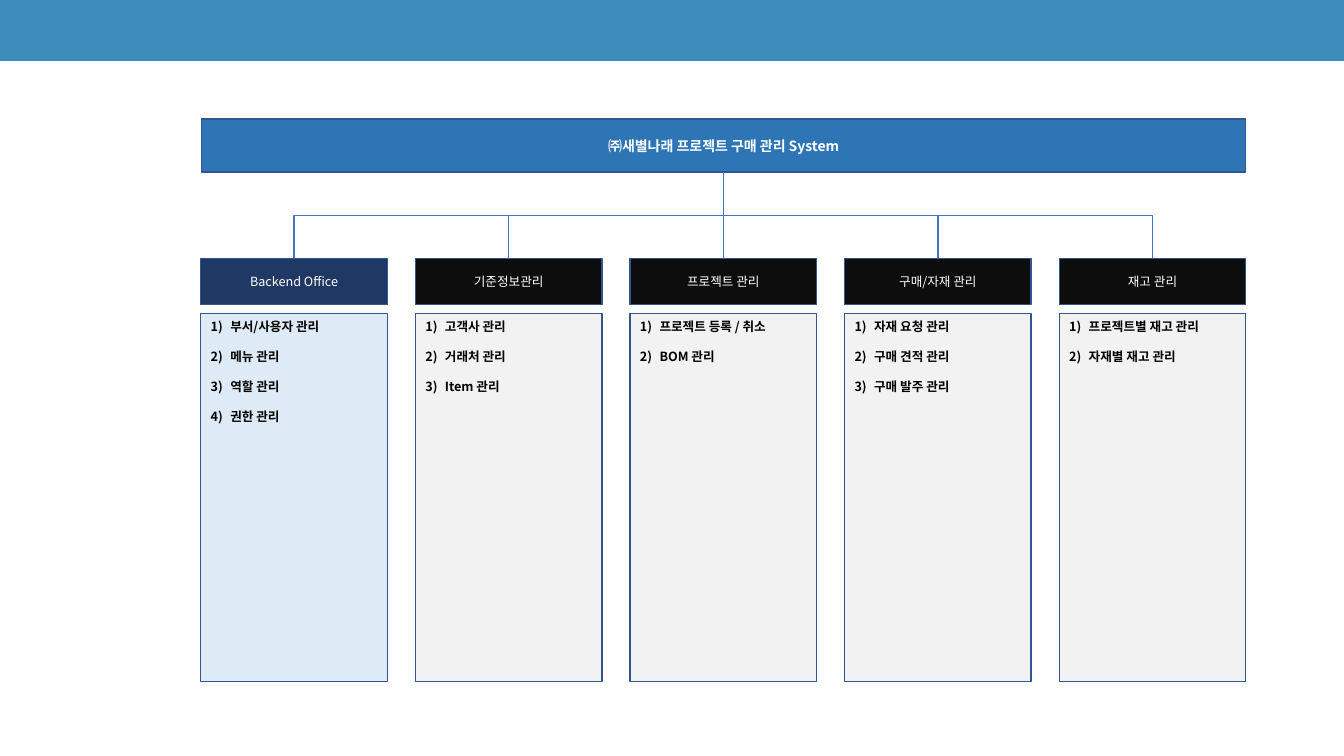
import pptx
import pptx.dml.color
import pptx.enum.shapes
import pptx.enum.text
import pptx.oxml
import pptx.oxml.ns
import pptx.util

Pt = pptx.util.Pt
RGB = pptx.dml.color.RGBColor
ALIGN = pptx.enum.text.PP_ALIGN
ANCHOR = pptx.enum.text.MSO_ANCHOR
RECT = pptx.enum.shapes.MSO_SHAPE.RECTANGLE
ELBOW = pptx.enum.shapes.MSO_CONNECTOR.ELBOW
qn = pptx.oxml.ns.qn

TEAL = RGB(0x3C, 0x8D, 0xBC)
BLUE = RGB(0x2E, 0x75, 0xB6)
NAVY = RGB(0x20, 0x38, 0x64)
PALE = RGB(0xDE, 0xEB, 0xF7)
INK = RGB(0x0D, 0x0D, 0x0D)
GREY = RGB(0xF2, 0xF2, 0xF2)
EDGE = RGB(0x32, 0x54, 0x91)
LINK = RGB(0x44, 0x72, 0xC4)
WHITE = RGB(0xFF, 0xFF, 0xFF)
BLACK = RGB(0, 0, 0)

WIDTH, HEIGHT = 960, 540
LEFT, PITCH, COL = 143.4, 153.3, 133.2
HEAD_TOP, HEAD_H = 184.5, 33
LIST_TOP, LIST_H = 224, 262.8
ROOT_TOP, ROOT_H = 85, 38
STEP = 10.8

TITLE = "㈜새별나래 프로젝트 구매 관리 System"
MENUS = [
    ("Backend Office", ["부서/사용자 관리", "메뉴 관리", "역할 관리", "권한 관리"]),
    ("기준정보관리", ["고객사 관리", "거래처 관리", "Item 관리"]),
    ("프로젝트 관리", ["프로젝트 등록 / 취소", "BOM 관리"]),
    ("구매/자재 관리", ["자재 요청 관리", "구매 견적 관리", "구매 발주 관리"]),
    ("재고 관리", ["프로젝트별 재고 관리", "자재별 재고 관리"]),
]


def add(parent, tag, **attrs):
    """Append an empty XML element with the given attributes."""
    node = pptx.oxml.parse_xml(f"<{tag} {pptx.oxml.ns.nsdecls('a')}/>")
    for key, value in attrs.items():
        node.set(key, value)
    parent.append(node)


class Chart:
    """The slide being drawn and its shared style."""

    face = "Noto Sans CJK KR"

    def __init__(self, slide):
        self.slide = slide

    def box(self, x, y, w, h, fill, edge=EDGE):
        shape = self.slide.shapes.add_shape(RECT, Pt(x), Pt(y), Pt(w), Pt(h))
        shape.shadow.inherit = False
        shape.fill.solid()
        shape.fill.fore_color.rgb = fill
        if edge is None:
            shape.line.fill.background()
        else:
            shape.line.color.rgb = edge
            shape.line.width = Pt(1)
        shape.text_frame.word_wrap = True
        return shape

    def style(self, para, size, color, bold):
        font = para.font
        font.name, font.size, font.bold = self.face, Pt(size), bold
        font.color.rgb = color
        add(para._p.pPr.find(qn("a:defRPr")), "a:ea", typeface=self.face)

    def label(self, shape, text, size, bold=False):
        frame = shape.text_frame
        frame.vertical_anchor = ANCHOR.MIDDLE
        para = frame.paragraphs[0]
        para.text = text
        para.alignment = ALIGN.CENTER
        self.style(para, size, WHITE, bold)

    def items(self, shape, texts):
        """Fill the shape with a numbered list."""
        frame = shape.text_frame
        frame.vertical_anchor = ANCHOR.TOP
        for i, text in enumerate(texts):
            para = frame.add_paragraph() if i else frame.paragraphs[0]
            para.text = text
            props = para._p.get_or_add_pPr()
            props.set("marL", str(Pt(14)))
            props.set("indent", str(-Pt(14)))
            add(props, "a:buAutoNum", type="arabicParenR")
            para.alignment = ALIGN.LEFT
            para.line_spacing = para.space_after = Pt(STEP)
            self.style(para, 9, BLACK, True)

    def link(self, x1, y1, x2, y2):
        """Draw an elbow that leaves downward and arrives downward."""
        mid_x, mid_y = (x1 + x2) / 2, (y1 + y2) / 2
        right = x2 > x1
        run = (y2 - y1) / 2 * (-1 if right else 1)
        rise = abs(x2 - x1) / 2
        line = self.slide.shapes.add_connector(
            ELBOW, Pt(mid_x - run), Pt(mid_y - rise),
            Pt(mid_x + run), Pt(mid_y + rise))
        line.line.color.rgb = LINK
        line.line.width = Pt(1)
        props = line._element.spPr
        turn = 270 if right else 90
        props.find(qn("a:xfrm")).set("rot", str(turn * 60000))
        add(props, "a:effectLst")


def main():
    deck = pptx.Presentation()
    deck.slide_width, deck.slide_height = Pt(WIDTH), Pt(HEIGHT)
    chart = Chart(deck.slides.add_slide(deck.slide_layouts[6]))

    chart.box(0, 0, WIDTH, 43.6, TEAL, None)
    span = PITCH * (len(MENUS) - 1) + COL
    root = chart.box(LEFT + 0.6, ROOT_TOP, span - 0.6, ROOT_H, BLUE)
    chart.label(root, TITLE, 10, True)

    for i, (name, texts) in enumerate(MENUS):
        x = LEFT + i * PITCH
        head, body = (INK, GREY) if i else (NAVY, PALE)
        chart.label(chart.box(x, HEAD_TOP, COL, HEAD_H, head), name, 9)
        chart.items(chart.box(x, LIST_TOP, COL, LIST_H, body), texts)
        chart.link(LEFT + span / 2, ROOT_TOP + ROOT_H, x + COL / 2, HEAD_TOP)

    deck.save("out.pptx")


if __name__ == "__main__":
    main()
